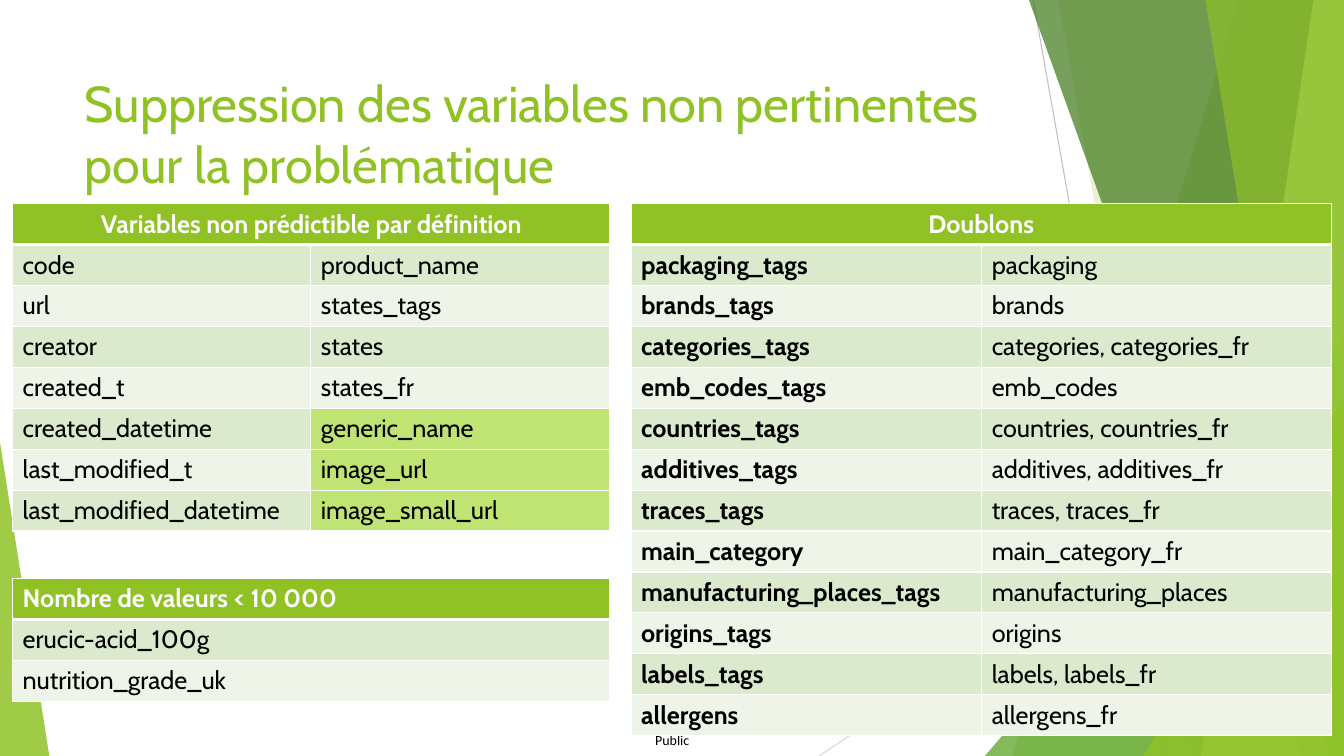
from pptx import Presentation
from pptx.dml.color import RGBColor
from pptx.enum.shapes import MSO_CONNECTOR, MSO_SHAPE
from pptx.enum.text import MSO_ANCHOR, MSO_AUTO_SIZE, PP_ALIGN
from pptx.oxml.ns import qn
from pptx.util import Pt
from lxml.etree import SubElement

PX = 9525
WIDTH, HEIGHT = 1280, 720
ROW_HEIGHT = 39
GREEN, LIME, WHITE, BLACK = "90C226", "C0E474", "FFFFFF", "000000"
BANDS = ("DBE9CD", "EEF4E8")

UNPREDICTABLE = [
    ("code", "product_name"),
    ("url", "states_tags"),
    ("creator", "states"),
    ("created_t", "states_fr"),
    ("created_datetime", "generic_name"),
    ("last_modified_t", "image_url"),
    ("last_modified_datetime", "image_small_url"),
]
DUPLICATES = [
    ("packaging_tags", "packaging"),
    ("brands_tags", "brands"),
    ("categories_tags", "categories, categories_fr"),
    ("emb_codes_tags", "emb_codes"),
    ("countries_tags", "countries, countries_fr"),
    ("additives_tags", "additives, additives_fr"),
    ("traces_tags", "traces, traces_fr"),
    ("main_category", "main_category_fr"),
    ("manufacturing_places_tags", "manufacturing_places"),
    ("origins_tags", "origins"),
    ("labels_tags", "labels, labels_fr"),
    ("allergens", "allergens_fr"),
]
RARE = [("erucic-acid_100g",), ("nutrition_grade_uk",)]
HIGHLIGHTED = {"generic_name", "image_url", "image_small_url"}


def px(*lengths):
    return [length * PX for length in lengths]


def color(hex_string):
    return RGBColor.from_string(hex_string)


def write(frame, text, size=18, font="Cabin", fill=BLACK, bold=False, align=PP_ALIGN.LEFT):
    paragraph = frame.paragraphs[0]
    paragraph.alignment = align
    run = paragraph.add_run()
    run.text = text
    run.font.name = font
    run.font.size = Pt(size)
    run.font.bold = bold
    run.font.color.rgb = color(fill)


def paint(shape, fill, opacity):
    """Fill a shape without outline or shadow; opacity is in percent."""
    shape.shadow.inherit = False
    shape.line.fill.background()
    shape.fill.solid()
    shape.fill.fore_color.rgb = color(fill)
    rgb = shape.element.spPr.find(qn("a:solidFill")).find(qn("a:srgbClr"))
    SubElement(rgb, qn("a:alpha"), val=str(opacity * 1000))


def add_line(slide, start, end, stroke):
    line = slide.shapes.add_connector(MSO_CONNECTOR.STRAIGHT, *px(*start, *end))
    line.line.color.rgb = color(stroke)
    line.line.width = Pt(0.75)
    SubElement(line.element.spPr, qn("a:effectLst"))


def add_facet(slide, top_x, bottom_x, fill, opacity):
    """Full-height panel with a slanted left edge, flush with the right side."""
    builder = slide.shapes.build_freeform(*px(top_x, 0), scale=1.0)
    corners = [(WIDTH, 0), (WIDTH, HEIGHT), (bottom_x, HEIGHT)]
    builder.add_line_segments([px(*corner) for corner in corners], close=True)
    paint(builder.convert_to_shape(), fill, opacity)


def add_triangle(slide, box, apex, fill, opacity):
    triangle = slide.shapes.add_shape(MSO_SHAPE.ISOSCELES_TRIANGLE, *px(*box))
    triangle.adjustments[0] = apex
    paint(triangle, fill, opacity)


def add_background(slide):
    add_line(slide, (984, 0), (1112, HEIGHT), "BFBFBF")
    add_line(slide, (WIDTH, 387), (780, HEIGHT), "D9D9D9")
    add_facet(slide, 1179, 964, GREEN, 30)
    add_facet(slide, 1008, 1136, GREEN, 20)
    add_triangle(slide, (938, 320, 342, 400), 1, "54A021", 72)
    add_facet(slide, 980, 1239, "3F7819", 70)
    add_facet(slide, 1251, 1144, LIME, 70)
    add_facet(slide, 1148, 1265, GREEN, 65)
    add_triangle(slide, (1089, 377, 191, 343), 1, GREEN, 80)
    add_triangle(slide, (0, 421, 47, 299), 0, GREEN, 85)


def add_footer(slide, box):
    footer = slide.shapes.add_textbox(*px(*box))
    frame = footer.text_frame
    frame.margin_left = frame.margin_right = frame.margin_top = frame.margin_bottom = 0
    frame.word_wrap = False
    write(frame, "Public", size=10, font="Calibri")


def add_title(slide, box, text):
    title = slide.shapes.title
    title.left, title.top, title.width, title.height = px(*box)
    title.element.getparent().append(title.element)  # in front of the background
    frame = title.text_frame
    frame.word_wrap = True
    frame.auto_size = MSO_AUTO_SIZE.NONE
    frame.vertical_anchor = MSO_ANCHOR.TOP
    write(frame, text, size=36, fill=GREEN)


def style_cell(cell, fill, top=1, bottom=1):
    """White borders first, then the fill, as the schema orders them."""
    properties = cell._tc.get_or_add_tcPr()
    for side, width in (("lnL", 1), ("lnR", 1), ("lnT", top), ("lnB", bottom)):
        border = SubElement(properties, qn(f"a:{side}"), w=str(Pt(width)))
        SubElement(SubElement(border, qn("a:solidFill")), qn("a:srgbClr"), val=WHITE)
    cell.fill.solid()
    cell.fill.fore_color.rgb = color(fill)


def add_variables(slide, left, top, widths, header, rows, bold_first=False):
    """Table with one header over all columns and banded rows below."""
    size = px(left, top, sum(widths), ROW_HEIGHT * (len(rows) + 1))
    table = slide.shapes.add_table(len(rows) + 1, len(widths), *size).table
    table.horz_banding = False
    for column, width in zip(table.columns, px(*widths)):
        column.width = width
    for row in table.rows:
        row.height = ROW_HEIGHT * PX

    for index in range(len(widths)):
        style_cell(table.cell(0, index), GREEN, bottom=3)
    title_cell = table.cell(0, 0)
    align = PP_ALIGN.LEFT
    if len(widths) > 1:
        title_cell.merge(table.cell(0, len(widths) - 1))
        title_cell.vertical_anchor = MSO_ANCHOR.MIDDLE
        align = PP_ALIGN.CENTER
    write(title_cell.text_frame, header, fill=WHITE, bold=True, align=align)

    for row_index, names in enumerate(rows):
        for index, name in enumerate(names):
            cell = table.cell(row_index + 1, index)
            fill = LIME if name in HIGHLIGHTED else BANDS[row_index % 2]
            style_cell(cell, fill, top=1 if row_index else 3)
            write(cell.text_frame, name, bold=bold_first and index == 0)


def main():
    presentation = Presentation()
    presentation.slide_width, presentation.slide_height = px(WIDTH, HEIGHT)
    slide = presentation.slides.add_slide(presentation.slide_layouts[5])
    add_background(slide)
    add_footer(slide, (624, 697, 36, 16))
    add_title(slide, (71, 64, 902, 138),
              "Suppression des variables non pertinentes pour la problématique")
    add_variables(slide, 12, 194, (284, 285),
                  "Variables non prédictible par définition", UNPREDICTABLE)
    add_variables(slide, 601, 194, (334, 333), "Doublons", DUPLICATES, bold_first=True)
    add_variables(slide, 12, 551, (569,), "Nombre de valeurs < 10 000", RARE)
    presentation.save("out.pptx")


if __name__ == "__main__":
    main()
